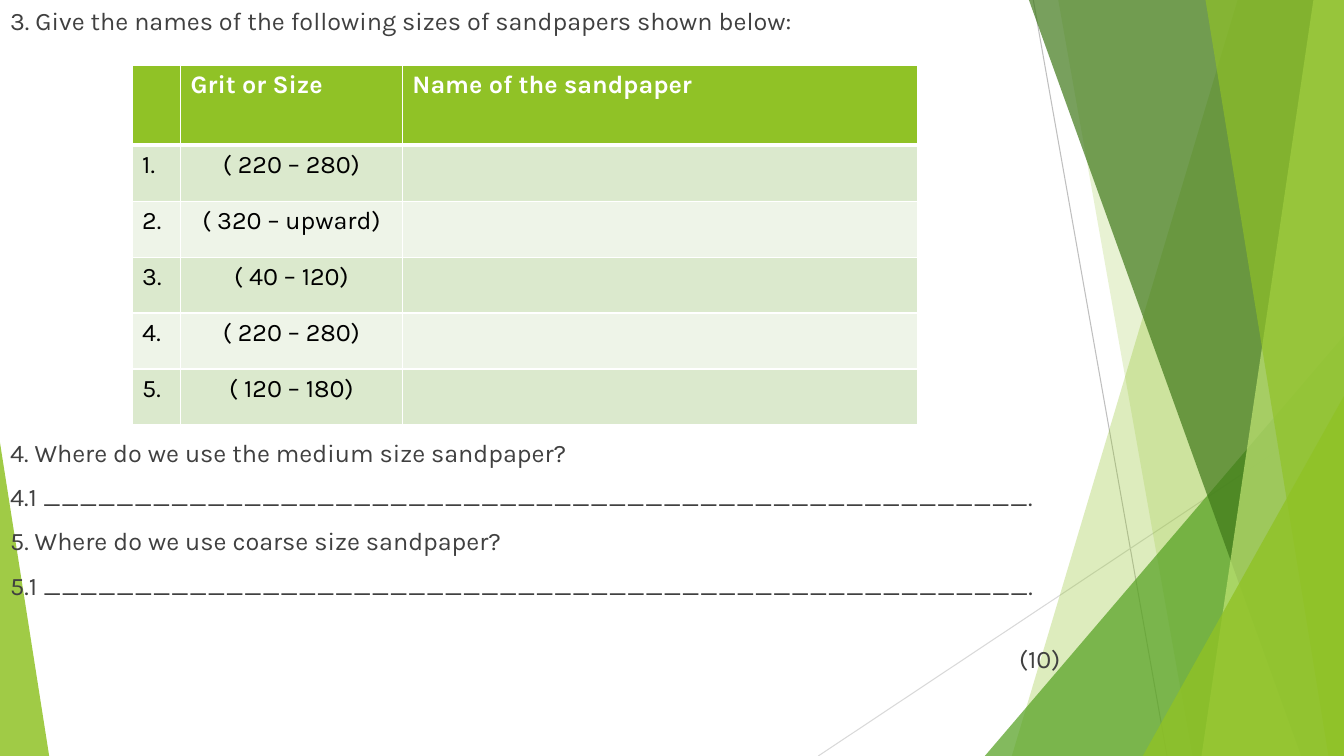
from dataclasses import dataclass

from lxml import etree
from pptx import Presentation
from pptx.dml.color import RGBColor
from pptx.enum import shapes, text
from pptx.oxml import ns
from pptx.util import Cm, Pt

WIDTH, HEIGHT = 33.87, 19.05


@dataclass(frozen=True)
class Theme:
    font: str = "Karla"
    size: int = 18
    ink: str = "404040"
    black: str = "000000"
    white: str = "FFFFFF"
    lime: str = "90C226"
    pale_lime: str = "C0E474"
    green: str = "54A021"
    dark_green: str = "3F7819"
    line: str = "BFBFBF"
    pale_line: str = "D9D9D9"
    bands: tuple = ("DBE9CD", "EEF4E8")


class Worksheet:
    def __init__(self, slide, theme):
        self.s, self.theme = slide, theme

    def paint(self, sp, color, opacity):
        sp.shadow.inherit = False
        sp.line.fill.background()
        sp.fill.solid()
        sp.fill.fore_color.rgb = RGBColor.from_string(color)
        clr = sp._element.spPr.find(".//" + ns.qn("a:srgbClr"))
        etree.SubElement(clr, ns.qn("a:alpha"), val=str(opacity * 1000))

    def line(self, x1, y1, x2, y2, color):
        c = self.s.shapes.add_connector(
            shapes.MSO_CONNECTOR.STRAIGHT, Cm(x1), Cm(y1), Cm(x2), Cm(y2))
        c.line.color.rgb = RGBColor.from_string(color)
        c.line.width = Pt(0.75)
        etree.SubElement(c._element.spPr, ns.qn("a:effectLst"))

    def ribbon(self, top_x, bottom_x, color, opacity):
        """Band from a slanted left side to the right slide edge."""
        fb = self.s.shapes.build_freeform(Cm(top_x), 0)
        fb.add_line_segments([(Cm(WIDTH), 0), (Cm(WIDTH), Cm(HEIGHT)),
                              (Cm(bottom_x), Cm(HEIGHT))], close=True)
        self.paint(fb.convert_to_shape(), color, opacity)

    def triangle(self, left, right, top, apex, color, opacity):
        """Triangle standing on the bottom slide edge."""
        sp = self.s.shapes.add_shape(
            shapes.MSO_SHAPE.ISOSCELES_TRIANGLE, Cm(left), Cm(top),
            Cm(right - left), Cm(HEIGHT - top))
        sp.adjustments[0] = apex
        self.paint(sp, color, opacity)

    def run(self, p, words, color, bold=False):
        r = p.add_run()
        r.text = words
        r.font.name, r.font.size, r.font.bold = self.theme.font, Pt(self.theme.size), bold
        r.font.color.rgb = RGBColor.from_string(color)

    def body(self, lines, left, top, width, height):
        """Fill the body placeholder; lines are (words, space before, indent)."""
        self.s.shapes.title._element.getparent().remove(self.s.shapes.title._element)
        sp = self.s.placeholders[1]
        sp.left, sp.top, sp.width, sp.height = Cm(left), Cm(top), Cm(width), Cm(height)
        self.s.shapes._spTree.append(sp._element)
        tf = sp.text_frame
        tf.word_wrap = True
        tf.auto_size = text.MSO_AUTO_SIZE.NONE
        tf.vertical_anchor = text.MSO_ANCHOR.TOP
        for i, (words, before, indent) in enumerate(lines):
            p = tf.add_paragraph() if i else tf.paragraphs[0]
            pPr = p._p.get_or_add_pPr()
            pPr.set("marL", str(Cm(indent)))
            pPr.set("indent", "0")
            etree.SubElement(pPr, ns.qn("a:buNone"))
            p.space_before = Pt(before)
            self.run(p, words, self.theme.ink)

    def borders(self, cell, top, bottom):
        tcPr = cell._tc.get_or_add_tcPr()
        for i, (side, pts) in enumerate((("L", 1), ("R", 1), ("T", top), ("B", bottom))):
            ln = etree.Element(ns.qn("a:ln" + side), w=str(Pt(pts)))
            fill = etree.SubElement(ln, ns.qn("a:solidFill"))
            etree.SubElement(fill, ns.qn("a:srgbClr"), val=self.theme.white)
            tcPr.insert(i, ln)

    def table(self, rows, left, top, widths, heights):
        frame = self.s.shapes.add_table(len(rows), len(widths), Cm(left), Cm(top),
                                        Cm(sum(widths)), Cm(sum(heights)))
        tbl = frame.table
        for col, w in zip(tbl.columns, widths):
            col.width = Cm(w)
        for i, values in enumerate(rows):
            tbl.rows[i].height = Cm(heights[i])
            header = i == 0
            fill = self.theme.lime if header else self.theme.bands[(i - 1) % 2]
            for j, value in enumerate(values):
                cell = tbl.cell(i, j)
                cell.fill.solid()
                cell.fill.fore_color.rgb = RGBColor.from_string(fill)
                self.borders(cell, 3 if i == 1 else 1, 3 if header else 1)
                p = cell.text_frame.paragraphs[0]
                if value:
                    self.run(p, value, self.theme.white if header else self.theme.black, header)
                if j == 1 and not header:
                    p.alignment = text.PP_ALIGN.CENTER


def main():
    prs = Presentation()
    prs.slide_width, prs.slide_height = Cm(WIDTH), Cm(HEIGHT)
    theme = Theme()
    sheet = Worksheet(prs.slides.add_slide(prs.slide_layouts[1]), theme)

    # Background facets, back to front
    sheet.line(26.04, 0, 29.41, HEIGHT, theme.line)
    sheet.line(WIDTH, 10.24, 20.62, HEIGHT, theme.pale_line)
    sheet.ribbon(31.19, 25.5, theme.lime, 30)
    sheet.ribbon(26.67, 30.05, theme.lime, 20)
    sheet.triangle(24.82, WIDTH, 8.46, 1, theme.green, 72)
    sheet.ribbon(25.93, 32.79, theme.dark_green, 70)
    sheet.ribbon(33.1, 30.28, theme.pale_lime, 70)
    sheet.ribbon(30.38, 33.48, theme.lime, 65)
    sheet.triangle(28.8, WIDTH, 9.98, 1, theme.lime, 80)
    sheet.triangle(0, 1.24, 11.15, 0, theme.lime, 85)

    # Questions, with room for the table after the first
    blank = "_" * 54 + "."
    sheet.body([
        ("3. Give the names of the following sizes of sandpapers shown below:", 0, 0),
        ("4. Where do we use the medium size sandpaper?", 287, 0),
        ("4.1 " + blank, 10, 0),
        ("5. Where do we use coarse size sandpaper?", 10, 0),
        ("5.1 " + blank, 10, 0),
        ("(10)", 31, 25.43),
    ], 0, 0, 31.55, HEIGHT)

    # Answer table
    grits = ["220 – 280", "320 – upward", "40 – 120", "220 – 280", "120 – 180"]
    rows = [("", "Grit or Size", "Name of the sandpaper")]
    rows += [(f"{n}.", f"( {grit})", "") for n, grit in enumerate(grits, 1)]
    sheet.table(rows, 3.33, 1.65, [1.22, 5.59, 12.98], [2.01] + [1.41] * len(grits))

    prs.save("out.pptx")


if __name__ == "__main__":
    main()
